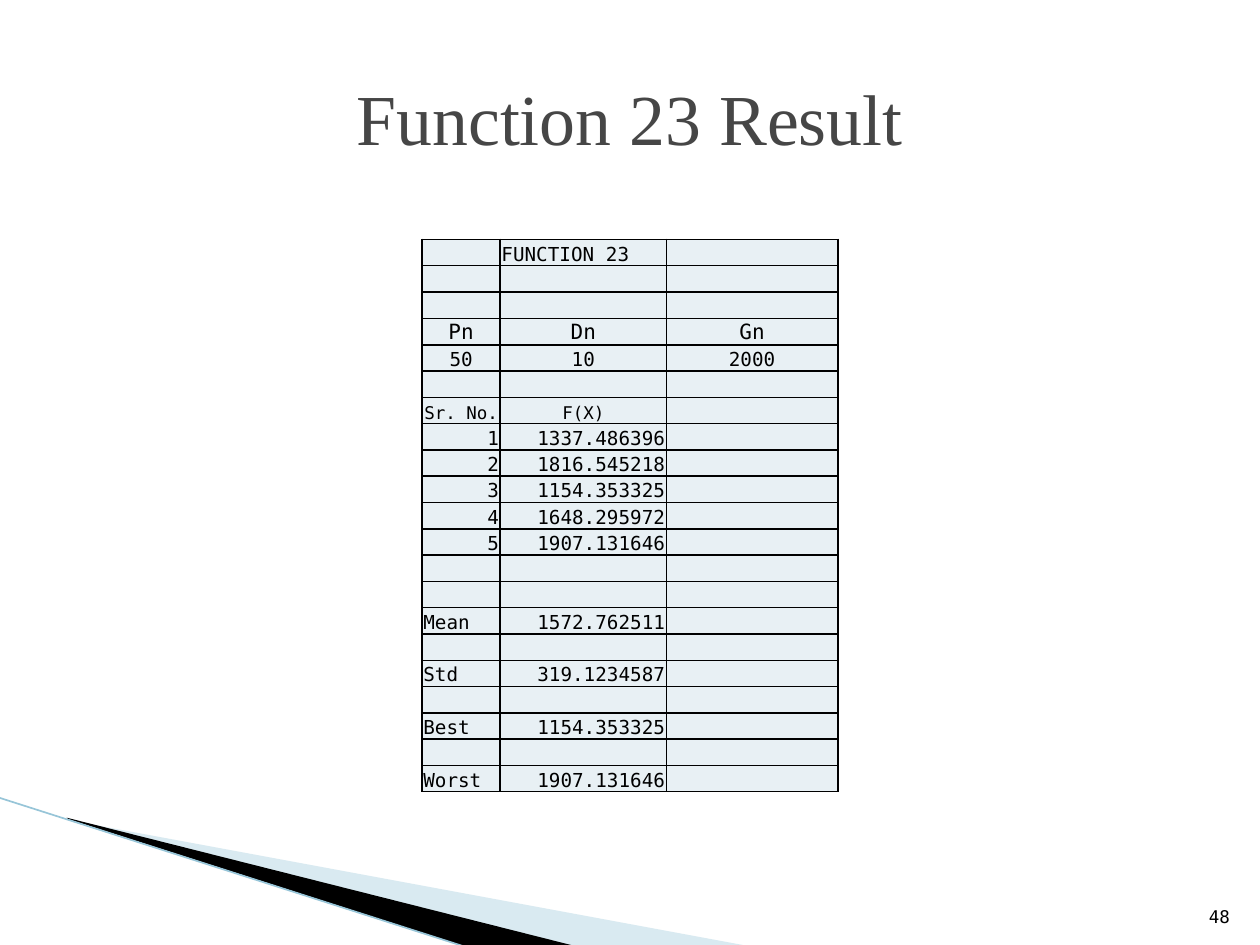
from lxml import etree
from pptx import Presentation, util as u
from pptx.dml.color import RGBColor
from pptx.enum import shapes, text
from pptx.oxml.ns import qn

BLACK = RGBColor(0x00, 0x00, 0x00)
GREY = RGBColor(0x46, 0x46, 0x46)
PALE = RGBColor(0xE8, 0xF0, 0xF4)
SKY = RGBColor(0xA0, 0xCB, 0xDC)
EDGE = RGBColor(0x97, 0xC5, 0xD8)
MONO, SERIF = "DejaVu Sans Mono", "Times New Roman"
LEFT, CENTER, RIGHT = text.PP_ALIGN.LEFT, text.PP_ALIGN.CENTER, text.PP_ALIGN.RIGHT
BOTTOM, MIDDLE = text.MSO_ANCHOR.BOTTOM, text.MSO_ANCHOR.MIDDLE
COLS, ROWS = 100, 75

HEADER = [("", "FUNCTION 23"), (), (), ("Pn", "Dn", "Gn"), ("50", "10", "2000"),
          (), ("Sr. No.", "F(X)")]
RUNS = ["1337.486396", "1816.545218", "1154.353325", "1648.295972", "1907.131646"]
SUMMARY = [("Mean", "1572.762511"), ("Std", "319.1234587"),
           ("Best", "1154.353325"), ("Worst", "1907.131646")]
SIZES = {3: 12, 6: 10}


def write(tf, content, font=MONO, size=11, color=BLACK, align=LEFT):
    """Write one formatted line into a text frame."""
    p = tf.paragraphs[0]
    p.alignment = align
    if not content:
        p._p.get_or_add_endParaRPr().set("sz", str(size * 100))
        return
    r = p.add_run()
    r.text = content
    r.font.name, r.font.size, r.font.color.rgb = font, u.Pt(size), color


class Deck:
    """Hold the style and the current slide on a grid of 100 by 75."""

    def __init__(self):
        self.prs = Presentation()
        self.prs.slide_width, self.prs.slide_height = u.Inches(10), u.Inches(7.5)
        self.s = self.prs.slides.add_slide(self.prs.slide_layouts[6])

    def x(self, col):
        return round(self.prs.slide_width * col / COLS)

    def y(self, row):
        return round(self.prs.slide_height * row / ROWS)

    def box(self, left, top, width, height):
        return self.x(left), self.y(top), self.x(width), self.y(height)

    def wedge(self, points, color, alpha=100):
        pts = [(self.x(a), self.y(b)) for a, b in points]
        fb = self.s.shapes.build_freeform(*pts[0])
        fb.add_line_segments(pts[1:], close=True)
        sp = fb.convert_to_shape()
        sp.shadow.inherit = False
        sp.line.fill.background()
        sp.fill.solid()
        sp.fill.fore_color.rgb = color
        if alpha < 100:
            clr = sp._element.spPr.find(qn("a:solidFill"))[0]
            etree.SubElement(clr, qn("a:alpha")).set("val", str(alpha * 1000))

    def line(self, start, end, color, width):
        c = self.s.shapes.add_connector(
            shapes.MSO_CONNECTOR.STRAIGHT, self.x(start[0]), self.y(start[1]),
            self.x(end[0]), self.y(end[1]))
        c.line.color.rgb, c.line.width = color, u.Pt(width)
        etree.SubElement(c._element.spPr, qn("a:effectLst"))

    def label(self, area, content, anchor, **fmt):
        tf = self.s.shapes.add_textbox(*self.box(*area)).text_frame
        tf.word_wrap, tf.vertical_anchor = True, anchor
        write(tf, content, **fmt)

    def style_cell(self, cell):
        cell.margin_left = cell.margin_right = cell.margin_top = u.Inches(0.01)
        cell.margin_bottom = 0
        cell.vertical_anchor = BOTTOM
        tc_pr = cell._tc.get_or_add_tcPr()
        for side in ("lnL", "lnR", "lnT", "lnB"):
            ln = etree.SubElement(tc_pr, qn(f"a:{side}"), w=str(u.Pt(1)))
            fill = etree.SubElement(ln, qn("a:solidFill"))
            etree.SubElement(fill, qn("a:srgbClr"), val=str(BLACK))
        cell.fill.solid()
        cell.fill.fore_color.rgb = PALE

    def table(self, area, widths, rows, align_of):
        frame = self.s.shapes.add_table(len(rows), len(widths), *self.box(*area))
        t = frame.table
        t.first_row = t.horz_banding = False
        for col, width in zip(t.columns, widths):
            col.width = self.x(width)
        for i, row in enumerate(rows):
            t.rows[i].height = self.y(area[3] / len(rows))
            for j in range(len(widths)):
                cell = t.cell(i, j)
                self.style_cell(cell)
                write(cell.text_frame, row[j] if j < len(row) else "",
                      size=SIZES.get(i, 11), align=align_of(i, j))


def result_align(i, j):
    """Centre the headings, and set the figures to the right."""
    if i < 3:
        return LEFT
    if i < len(HEADER):
        return CENTER
    return LEFT if j == 0 and i >= len(HEADER) + len(RUNS) else RIGHT


def main():
    """Build the result slide."""
    rows = HEADER + [(str(n), v) for n, v in enumerate(RUNS, 1)] + [()]
    for entry in SUMMARY:
        rows += [(), entry]
    d = Deck()
    d.wedge([(5.5, 65.1), (59.5, 75.1), (45.6, 75.1), (5.5, 65)], SKY, alpha=40)
    d.wedge([(5.3, 64.9), (45.7, 75.1), (37.2, 75.2), (5.4, 65)], BLACK)
    d.line((-0.1, 63.3), (37.1, 75.2), EDGE, 0.95)
    d.label((94.6, 70.1, 4, 4), "48", BOTTOM, size=10, align=RIGHT)
    d.label((5, 3, 90, 12.5), "Function 23 Result", MIDDLE,
            font=SERIF, size=41, color=GREY, align=CENTER)
    d.table((33.5, 19, 33.1, 43.9), (6.2, 13.2, 13.6), rows, result_align)
    d.prs.save("out.pptx")


if __name__ == "__main__":
    main()
